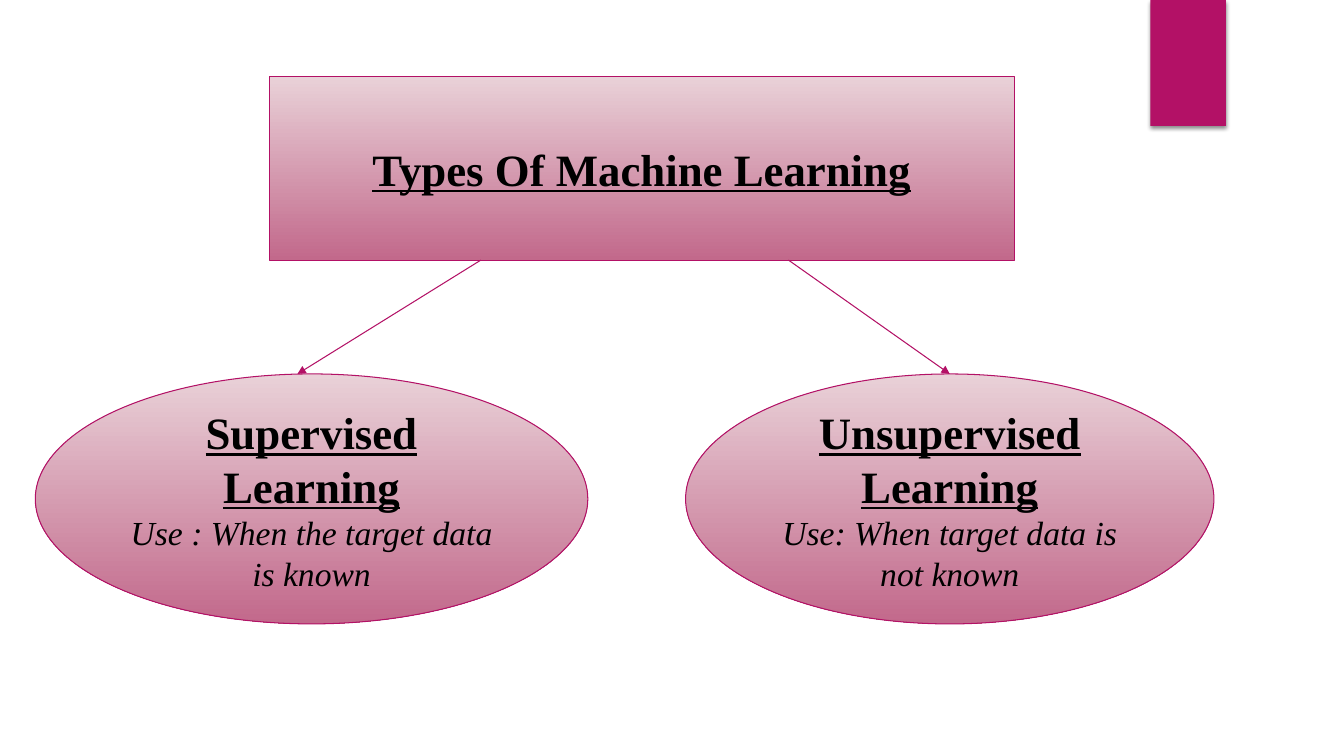
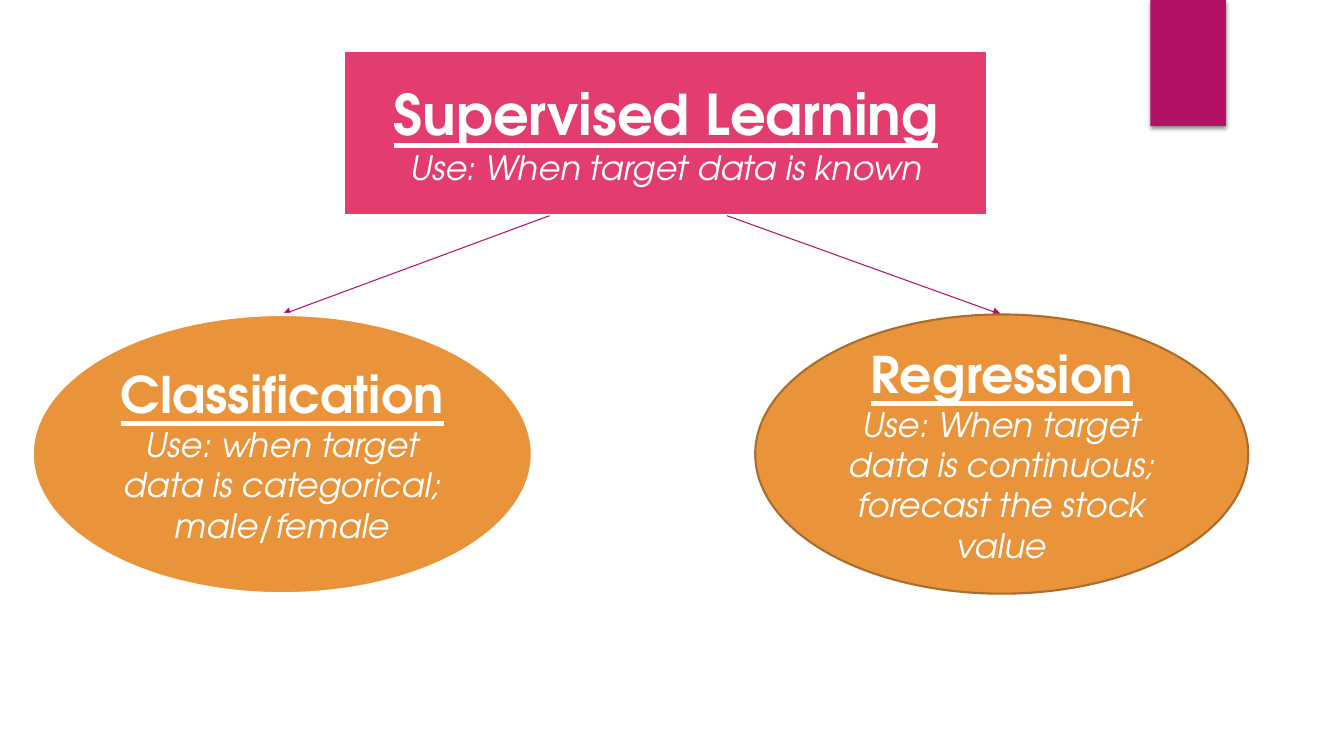
from lxml import etree
from pptx import Presentation, util as u
from pptx.dml import color
from pptx.enum import shapes, text
from pptx.oxml import ns

PX = 9144  # EMU per px, 100 px to the inch
BERRY, PINK, ORANGE, BROWN = "B31166", "E33D6F", "E9943A", "AC6D2B"
WHITE, BLACK = "FFFFFF", "000000"
BLUSH = ("E9D1D8", "C2698B")  # gradient, top to bottom
SERIF, SANS = "Times New Roman", "TeX Gyre Adventor"
HEADING = dict(bold=True, underline=True, italic=False)
USE_NOTE = dict(bold=False, underline=False, italic=True, size=u.Pt(24))


def rgb(value):
    return color.RGBColor.from_string(value)


def child(parent, tag, **attributes):
    node = etree.SubElement(parent, ns.qn(tag))
    for name, value in attributes.items():
        node.set(name, str(value))
    return node


def paint(fill, colours):
    """Fill with one colour, or with a vertical gradient of two."""
    if isinstance(colours, str):
        fill.solid()
        fill.fore_color.rgb = rgb(colours)
        return
    fill.gradient()
    fill.gradient_angle = 270
    for stop, value in zip(fill.gradient_stops, colours):
        stop.color.rgb = rgb(value)


def add_node(page, kind, area, fill, outline=None):
    box = page.shapes.add_shape(kind, *(n * PX for n in area))
    box.shadow.inherit = False
    paint(box.fill, fill)
    if outline:
        value, width = outline
        box.line.color.rgb = rgb(value)
        box.line.width = u.Pt(width)
    else:
        box.line.fill.background()
    return box


def write(box, look, size, heading, note=None):
    """Centre an underlined heading and, below it, an italic note."""
    frame = box.text_frame
    frame.word_wrap = True
    frame.vertical_anchor = text.MSO_ANCHOR.MIDDLE
    lines = [(heading, dict(HEADING, size=u.Pt(size)))]
    if note:
        lines.append((note, USE_NOTE))
    for index, (words, style) in enumerate(lines):
        para = frame.add_paragraph() if index else frame.paragraphs[0]
        para.alignment = text.PP_ALIGN.CENTER
        span = para.add_run()
        span.text = words
        for name, value in dict(style, name=look["font"]).items():
            setattr(span.font, name, value)
        span.font.color.rgb = rgb(look["ink"])


def add_arrow(page, start, tip):
    arrow = page.shapes.add_connector(
        shapes.MSO_CONNECTOR.STRAIGHT, *(n * PX for n in start + tip))
    arrow.line.color.rgb = rgb(BERRY)
    arrow.line.width = u.Pt(0.75)
    child(arrow.line._get_or_add_ln(), "a:tailEnd", type="triangle")
    child(arrow._element.spPr, "a:effectLst")


def add_ribbon(page):
    """Corner band with a soft shadow, shared by all slides."""
    ribbon = add_node(page, shapes.MSO_SHAPE.RECTANGLE, (1141, 0, 75, 125), BERRY)
    effects = ribbon._element.spPr.find(ns.qn("a:effectLst"))
    shadow = child(effects, "a:outerShdw", blurRad=u.Pt(3), dist=u.Pt(2),
                   dir=90 * 60000, rotWithShape=0)
    black = child(shadow, "a:srgbClr", val=BLACK)
    child(black, "a:alpha", val=45000)


def add_tree(deck, look, root, arrows, branches):
    """One slide: a root box, arrows down, and an ellipse per branch."""
    page = deck.slides.add_slide(deck.slide_layouts[6])
    add_ribbon(page)
    area, fill, outline, size, words = root
    box = add_node(page, shapes.MSO_SHAPE.RECTANGLE, area, fill, outline)
    write(box, look, size, *words)
    for start, tip in arrows:
        add_arrow(page, start, tip)
    for area, outline, words in branches:
        oval = add_node(page, shapes.MSO_SHAPE.OVAL, area, look["oval"], outline)
        write(oval, look, look["oval_size"], *words)


def main():
    deck = Presentation()
    deck.slide_width, deck.slide_height = 1333 * PX, 750 * PX

    # Types of machine learning
    thin = (BERRY, 0.75)
    add_tree(
        deck, dict(font=SERIF, ink=BLACK, oval=BLUSH, oval_size=32),
        root=((267, 76, 739, 182), BLUSH, thin, 32, ["Types Of Machine Learning"]),
        arrows=[((477, 258), (295, 371)), ((782, 258), (942, 371))],
        branches=[
            ((35, 371, 548, 248), thin,
             ["Supervised Learning", "Use : When the target data is known"]),
            ((680, 371, 524, 248), thin,
             ["Unsupervised Learning", "Use: When target data is not known"]),
        ])

    # Kinds of supervised learning
    halo = (WHITE, 2.25)
    add_tree(
        deck, dict(font=SANS, ink=WHITE, oval=ORANGE, oval_size=36),
        root=((341, 50, 639, 164), PINK, halo, 40,
              ["Supervised Learning", "Use: When target data is known"]),
        arrows=[((545, 214), (280, 312)), ((721, 214), (993, 312))],
        branches=[
            ((32, 312, 496, 277), halo,
             ["Classification",
              "Use: when target data is categorical; male/female"]),
            ((749, 312, 489, 277), (BROWN, 1.5),
             ["Regression",
              "Use: When target data is continuous; forecast the stock value"]),
        ])

    deck.save("out.pptx")


if __name__ == "__main__":
    main()
